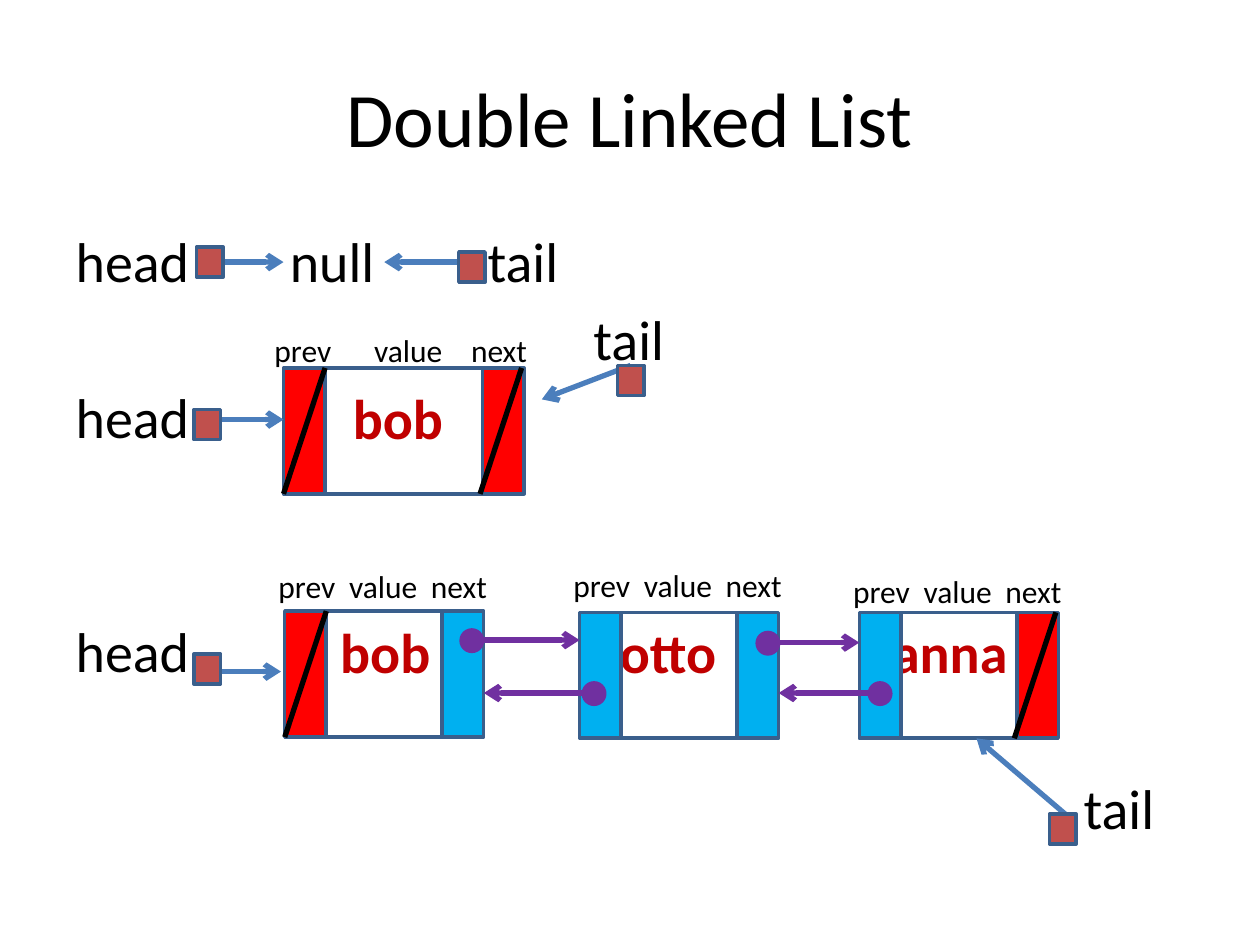
import pptx
import pptx.util
import pptx.dml.color
import pptx.enum.shapes
import pptx.enum.text
import pptx.oxml
import pptx.oxml.ns
from dataclasses import dataclass

Inches = pptx.util.Inches
SHAPE = pptx.enum.shapes.MSO_SHAPE


@dataclass(frozen=True)
class Theme:
    face: str = "Calibri"
    ink: str = "000000"
    name: str = "C00000"
    empty: str = "FF0000"
    full: str = "00B0F0"
    edge: str = "3A5F8C"
    arrow: str = "4B7EBC"
    link: str = "7030A0"
    box: str = "C0504D"
    title: int = 44
    body: int = 32
    label: int = 18
    thin: int = 2
    thick: int = 3


def rgb(code):
    return pptx.dml.color.RGBColor.from_string(code)


def apply(target, values):
    for key, value in values.items():
        setattr(target, key, value)


def child(parent, tag, **attrs):
    node = parent.makeelement(pptx.oxml.ns.qn(tag), attrs)
    parent.append(node)
    return node


class Deck:
    def __init__(self, theme):
        self.theme = theme
        self.file = pptx.Presentation()
        apply(self.file, {"slide_width": Inches(10), "slide_height": Inches(7.5)})
        self.slide = self.file.slides.add_slide(self.file.slide_layouts[1])
        self.shapes = self.slide.shapes

    def place(self, shape, left, top, width, height):
        apply(shape, {"left": Inches(left), "top": Inches(top),
                      "width": Inches(width), "height": Inches(height)})

    def run(self, para, text, size, color, bold=False):
        run = para.add_run()
        run.text = text
        apply(run.font, {"name": self.theme.face, "size": pptx.util.Pt(size), "bold": bold})
        run.font.color.rgb = rgb(color)

    def title(self, text):
        shape = self.shapes.title
        self.place(shape, 0.5, 0.3, 9, 1.25)
        para = shape.text_frame.paragraphs[0]
        para.alignment = pptx.enum.text.PP_ALIGN.CENTER
        self.run(para, text, self.theme.title, self.theme.ink)

    def body(self, rows):
        shape = self.slide.placeholders[1]
        self.place(shape, 0.5, 1.75, 9.5, 5.5)
        frame = shape.text_frame
        frame.auto_size = pptx.enum.text.MSO_AUTO_SIZE.NONE
        for i, (gap, indent, text) in enumerate(rows):
            para = frame.add_paragraph() if i else frame.paragraphs[0]
            para.space_before = pptx.util.Pt(gap)
            props = para._p.get_or_add_pPr()
            for key, value in {"marL": Inches(indent), "indent": 0}.items():
                props.set(key, str(value))
            child(props, "a:buNone")
            self.run(para, text, self.theme.body, self.theme.ink)

    def text(self, left, top, width, height, margins):
        shape = self.shapes.add_textbox(*map(Inches, (left, top, width, height)))
        apply(shape.text_frame, {"word_wrap": True, **margins})
        return shape.text_frame.paragraphs[0]

    def word(self, text, left, top, color, bold):
        sides = ("left", "right", "top", "bottom")
        para = self.text(left, top, 1.2, 0.54, {f"margin_{side}": 0 for side in sides})
        self.run(para, text, self.theme.body, color, bold)

    def label(self, left, top, inset, stops):
        para = self.text(left, top, 2.22, 0.4, {"margin_left": Inches(inset)})
        group = child(para._p.get_or_add_pPr(), "a:tabLst")
        for stop in stops:
            child(group, "a:tab", pos=str(Inches(stop)), algn="l")
        self.run(para, "prev\tvalue\tnext", self.theme.label, self.theme.ink)

    def shape(self, kind, left, top, width, height, fill=None, edge=None):
        shape = self.shapes.add_shape(kind, *map(Inches, (left, top, width, height)))
        shape.shadow.inherit = False
        if fill:
            shape.fill.solid()
            shape.fill.fore_color.rgb = rgb(fill)
        else:
            shape.fill.background()
        shape.line.color.rgb = rgb(edge or self.theme.edge)
        shape.line.width = pptx.util.Pt(self.theme.thin)
        return shape

    def line(self, start, end, color, head=True):
        line = self.shapes.add_connector(
            pptx.enum.shapes.MSO_CONNECTOR.STRAIGHT, *map(Inches, (*start, *end)))
        line.line.color.rgb = rgb(color)
        line.line.width = pptx.util.Pt(self.theme.thick)
        props = line._element.spPr
        if head:
            child(props.find(pptx.oxml.ns.qn("a:ln")), "a:tailEnd", type="arrow")
        child(props, "a:effectLst")
        return line

    def cell(self, left, top, fill, shift=0):
        self.shape(SHAPE.RECTANGLE, left, top, 0.33, 1, fill)
        if fill == self.theme.empty:
            left -= shift
            self.line((left + 0.33, top), (left, top + 1), self.theme.ink, False)

    def node(self, left, top, width, prev, next):
        self.shape(SHAPE.RECTANGLE, left + 0.33, top, width, 1)
        self.cell(left + 0.33 + width, top, next, 0.02)
        self.cell(left, top, prev)

    def link(self, left, top, end):
        self.line((left, top), (end, top), self.theme.link)
        self.shape(SHAPE.OVAL, left - 0.08, top - 0.08, 0.17, 0.17,
                   self.theme.link, self.theme.link)

    def pointer(self, left, top, start, end, side=None):
        line = self.line(start, end, self.theme.arrow)
        box = self.shape(SHAPE.RECTANGLE, left, top, 0.21, 0.24, self.theme.box)
        if side is not None:
            line.begin_connect(box, side)


def main():
    theme = Theme()
    deck = Deck(theme)
    deck.title("Double Linked List")
    gap, row = 6.1, 44.7
    deck.body([
        (gap, 0, "head"),
        (gap, 4.11, "tail"),
        (gap, 0, "head"),
        (gap + 2 * row, 0, "head"),
        (gap + row, 8, "tail"),
    ])
    for text, left in [("null", 2.3), ("tail", 3.87)]:
        deck.word(text, left, 1.8, theme.ink, False)
    for text, left, index in [("bob", 2.8, 2), ("bob", 2.7, 5), ("otto", 4.92, 5), ("anna", 7.08, 5)]:
        deck.word(text, left, 1.8 + index * row / 72, theme.name, True)

    deck.node(2.25, 2.92, 1.25, theme.empty, theme.empty)
    deck.node(2.26, 4.85, 0.92, theme.empty, theme.full)
    deck.node(4.6, 4.86, 0.92, theme.full, theme.full)
    deck.node(6.82, 4.86, 0.92, theme.full, theme.empty)

    for spot in [(3.74, 5.08, 4.6), (6.09, 5.1, 6.82), (6.98, 5.5, 6.18), (4.71, 5.5, 3.84)]:
        deck.link(*spot)

    deck.label(2.08, 2.58, 0.1, [0.79, 1.56])
    for left, top in [(1.94, 4.45), (4.28, 4.44), (6.5, 4.49)]:
        deck.label(left, top, 0.27, [0.56, 1.21])

    for spot in [
        (1.56, 1.96, (1.58, 2.08), (2.25, 2.08)),
        (3.64, 2, (3.84, 2.08), (3.05, 2.08)),
        (1.54, 3.25, (1.58, 3.33), (2.25, 3.33)),
        (4.9, 2.9, (5.01, 2.92), (4.3, 3.17), 0),
        (1.54, 5.19, (1.56, 5.33), (2.23, 5.33)),
        (8.33, 6.46, (8.5, 6.5), (7.75, 5.86)),
    ]:
        deck.pointer(*spot)
    deck.file.save("out.pptx")


if __name__ == "__main__":
    main()
